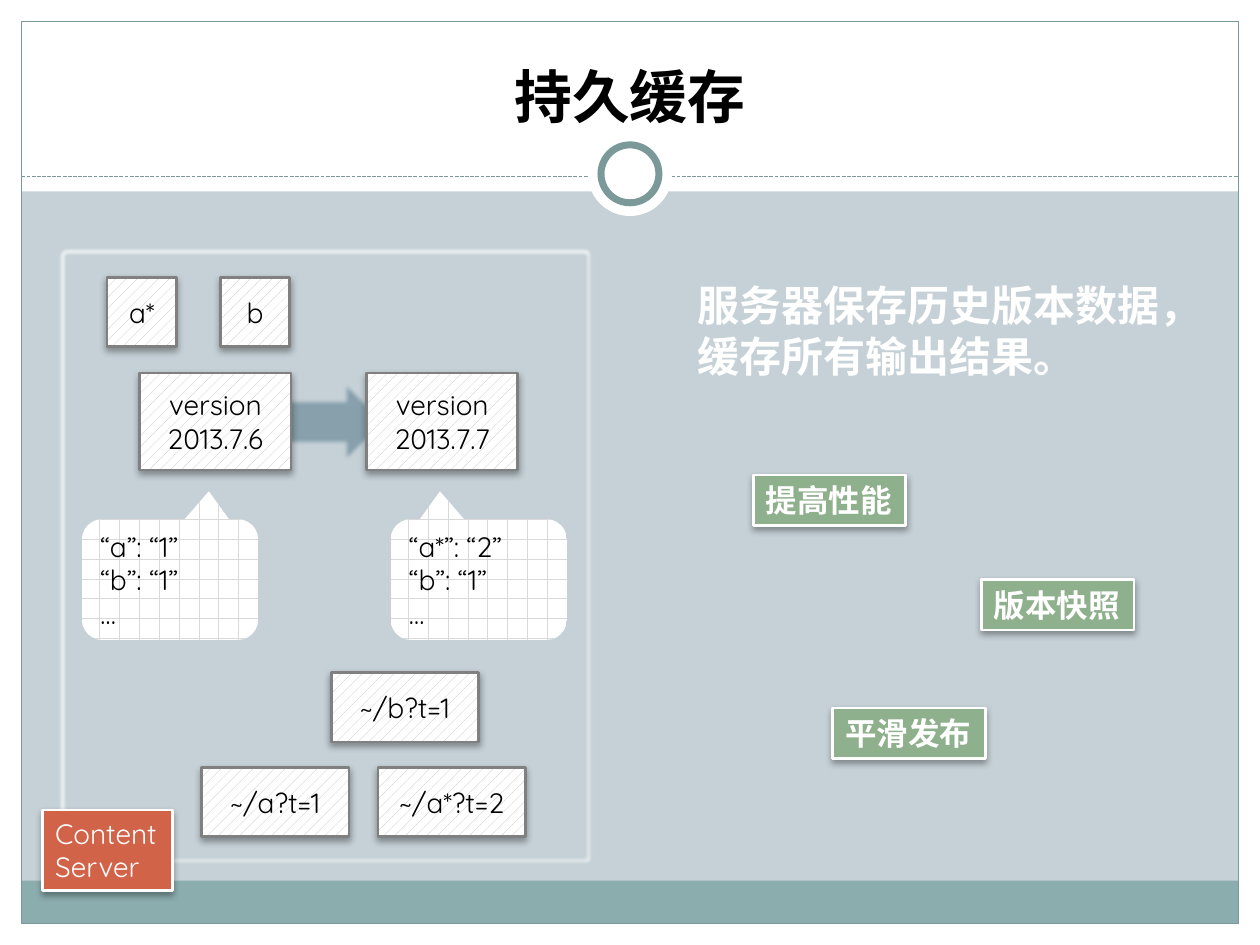
import pptx
import pptx.util
import pptx.dml.color
import pptx.enum.dml
import pptx.enum.shapes
import pptx.enum.text
import pptx.oxml
import pptx.oxml.ns
from lxml import etree

Shape = pptx.enum.shapes.MSO_SHAPE
Pattern = pptx.enum.dml.MSO_PATTERN
Align = pptx.enum.text.PP_ALIGN
Anchor = pptx.enum.text.MSO_ANCHOR

# Content: positions are (column, row) on a grid of 100 columns by 75 rows
COLUMNS, ROWS = 100, 75
COLORS = {
    "background": "C5D1D7", "white": "FFFFFF", "black": "000000",
    "band": "8CADAE", "frame": "7C999A", "green": "8FB08C", "red": "D16349",
    "arrow": "88A1AD", "hatch": "BFBFBF", "grid": "D9D9D9", "outline": "808080",
}
LATIN, HEADING, CHINESE = "Quicksand", "Lato", "Noto Sans CJK SC"
TITLE = ["持久缓存"]
STATEMENT = ["服务器保存历史版本数据，", "缓存所有输出结果。"]
SERVER = ["Content", "Server"]
BENEFITS = [("提高性能", 59.8, 37.7), ("版本快照", 77.9, 46), ("平滑发布", 66.1, 56.2)]
FILES = ["a*", "b"]
VERSIONS = ["2013.7.6", "2013.7.7"]
# Lines, left edge, horizontal offset of the pointer
MAPPINGS = [(["“a”: “1”", "“b”: “1”", "…"], 6.5, 0.22),
            (["“a*”: “2”", "“b”: “1”", "…"], 31, -0.22)]
ADDRESSES = [("~/a?t=1", 16, 60.9), ("~/b?t=1", 26.3, 53.4), ("~/a*?t=2", 30, 60.9)]

presentation = pptx.Presentation()
presentation.slide_width = pptx.util.Inches(10)
presentation.slide_height = pptx.util.Inches(7.5)
slide = presentation.slides.add_slide(presentation.slide_layouts[6])


def color(name):
    return pptx.dml.color.RGBColor.from_string(COLORS[name])


def across(columns):
    return round(presentation.slide_width * columns / COLUMNS)


def down(rows):
    return round(presentation.slide_height * rows / ROWS)


def place(left, top, width, height):
    return across(left), down(top), across(width), down(height)


def add_effect(shape, xml):
    effects = shape._element.spPr.find(pptx.oxml.ns.qn("a:effectLst"))
    effects.append(pptx.oxml.parse_xml(xml.replace(
        " ", ' xmlns:a="http://schemas.openxmlformats.org/drawingml/2006/main" ', 1)))


def add_shadow(shape):
    add_effect(shape, '<a:outerShdw blurRad="50800" dist="25400" dir="5400000" rotWithShape="0">'
                      '<a:srgbClr val="000000"><a:alpha val="35000"/></a:srgbClr></a:outerShdw>')


def soften(shape, points):
    add_effect(shape, f'<a:softEdge rad="{int(pptx.util.Pt(points))}"/>')


def add_shape(kind, box, fill=None, line=None, weight=0.75, pattern=None):
    shape = slide.shapes.add_shape(kind, *place(*box))
    shape.shadow.inherit = False
    if pattern:
        shape.fill.patterned()
        shape.fill.pattern = pattern
        shape.fill.fore_color.rgb = color(fill)
        shape.fill.back_color.rgb = color("white")
    elif fill:
        shape.fill.solid()
        shape.fill.fore_color.rgb = color(fill)
    else:
        shape.fill.background()
    if line:
        shape.line.color.rgb = color(line)
        shape.line.width = pptx.util.Pt(weight)
    else:
        shape.line.fill.background()
    return shape


def write(shape, lines, size, font, ink, bold=False, align=Align.LEFT,
          anchor=Anchor.TOP, wrap=True):
    frame = shape.text_frame
    frame.word_wrap = wrap
    frame.vertical_anchor = anchor
    for index, line in enumerate(lines):
        paragraph = frame.add_paragraph() if index else frame.paragraphs[0]
        paragraph.alignment = align
        run = paragraph.add_run()
        run.text = line
        run.font.size = pptx.util.Pt(size)
        run.font.name = font
        run.font.bold = bold
        run.font.color.rgb = color(ink)
        east_asian = etree.SubElement(run.font._element, pptx.oxml.ns.qn("a:ea"))
        east_asian.set("typeface", CHINESE)


def add_card(lines, box):
    card = add_shape(Shape.RECTANGLE, box, "hatch", "outline", 1.57, Pattern.PERCENT_20)
    add_shadow(card)
    write(card, lines, 16, LATIN, "black", align=Align.CENTER, anchor=Anchor.MIDDLE)


def add_label(lines, box, fill, size, font, bold):
    label = add_shape(Shape.RECTANGLE, box, fill, "white", 1.57)
    add_shadow(label)
    write(label, lines, size, font, "white", bold, wrap=False)


# Background, white margins, bottom band and frame
slide.background.fill.solid()
slide.background.fill.fore_color.rgb = color("background")
MARGIN, HEADER = 1.7, 15.2
inner = COLUMNS - 2 * MARGIN
for box in [(0, ROWS - MARGIN, COLUMNS, MARGIN), (0, 0, COLUMNS, HEADER),
            (0, 0, MARGIN, ROWS), (COLUMNS - MARGIN, 0, MARGIN, ROWS)]:
    add_shape(Shape.RECTANGLE, box, "white")
add_shape(Shape.RECTANGLE, (MARGIN, 69.9, inner, 3.4), "band")
add_shape(Shape.RECTANGLE, (MARGIN, MARGIN, inner, ROWS - 2 * MARGIN), None, "frame")

# Dashed rule with the ring on it
rule = slide.shapes.add_connector(pptx.enum.shapes.MSO_CONNECTOR.STRAIGHT, across(MARGIN),
                                  down(14), across(COLUMNS - MARGIN), down(14))
rule.line.color.rgb = color("frame")
rule.line.width = pptx.util.Pt(0.75)
rule.line.dash_style = pptx.enum.dml.MSO_LINE.SQUARE_DOT
etree.SubElement(rule._element.spPr, pptx.oxml.ns.qn("a:effectLst"))
for diameter, line in [(6.7, None), (4.6, "frame")]:
    corner = (COLUMNS - diameter) / 2, 13.8 - diameter / 2
    add_shape(Shape.OVAL, (*corner, diameter, diameter), "white", line, 4)

# Server panel
panel = add_shape(Shape.RECTANGLE, (5, 20, 41.7, 48.3), None, "white", 6)
soften(panel, 2.5)

# Title and statement
title = slide.shapes.add_textbox(*place(3.3, 2.5, 93.4, 8.3))
write(title, TITLE, 33, HEADING, "black", True, Align.CENTER, Anchor.BOTTOM)
statement = slide.shapes.add_textbox(*place(54.4, 21.7, 42.4, 9.1))
write(statement, STATEMENT, 24, HEADING, "white", True, wrap=False)

# Benefits
for text, left, top in BENEFITS:
    add_label([text], (left, top, 12.1, 4), "green", 18, CHINESE, True)

# Files, versions and their mappings
arrow = add_shape(Shape.UP_ARROW, (22.6, 28.9, 7.6, 9.2), "arrow")
arrow.rotation = 90
soften(arrow, 2.5)
for index, text in enumerate(FILES):
    add_card([text], (8.5 + 9 * index, 22, 5.5, 5.5))
for index, text in enumerate(VERSIONS):
    add_card(["version", text], (11.1 + 18 * index, 29.6, 12, 7.7))
for lines, left, pointer in MAPPINGS:
    callout = add_shape(Shape.ROUNDED_RECTANGULAR_CALLOUT, (left, 41.2, 14, 9.6),
                        "grid", pattern=Pattern.DOTTED_GRID)
    for index, value in enumerate((pointer, -0.73, 0.17)):
        callout.adjustments[index] = value
    write(callout, lines, 16, LATIN, "black", anchor=Anchor.MIDDLE)

# Addresses and server name
for text, left, top in ADDRESSES:
    add_card([text], (left, top, 11.7, 5.5))
add_label(SERVER, (3.4, 64.3, 10.3, 6.4), "red", 16, LATIN, False)

presentation.save("out.pptx")
